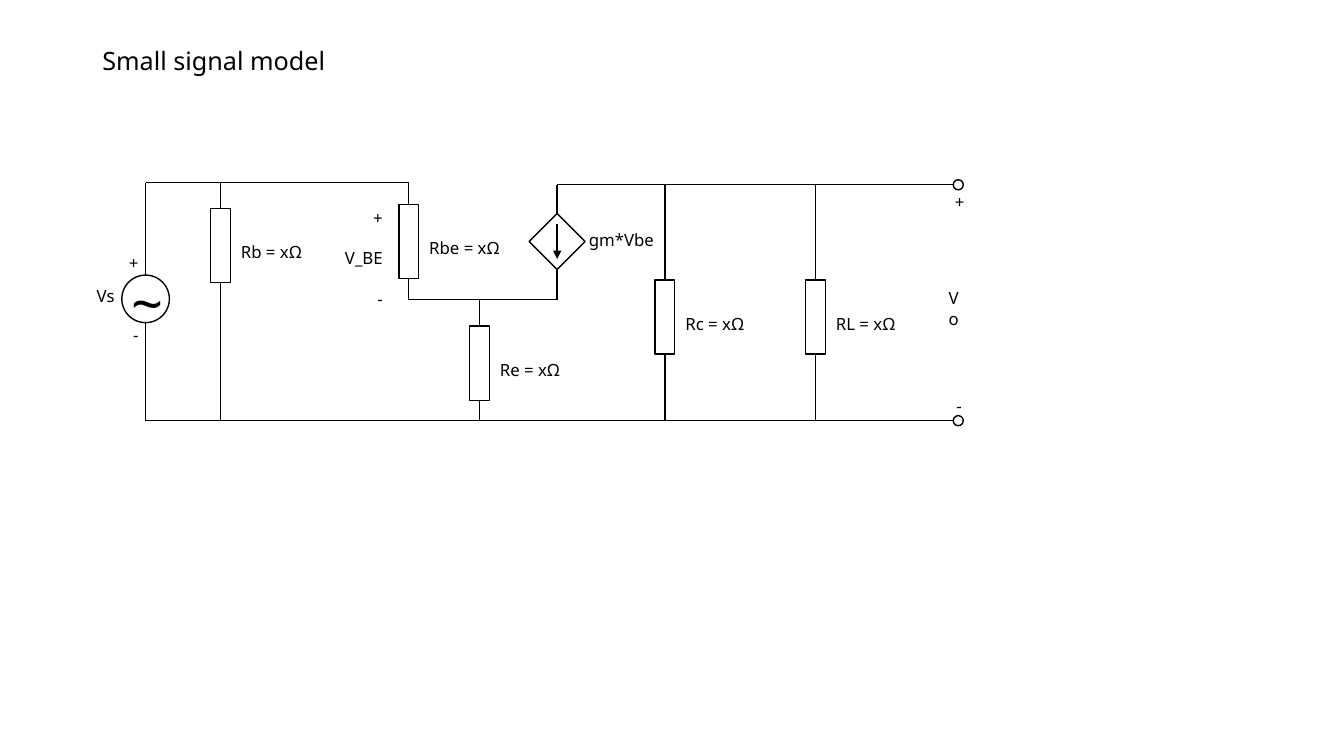
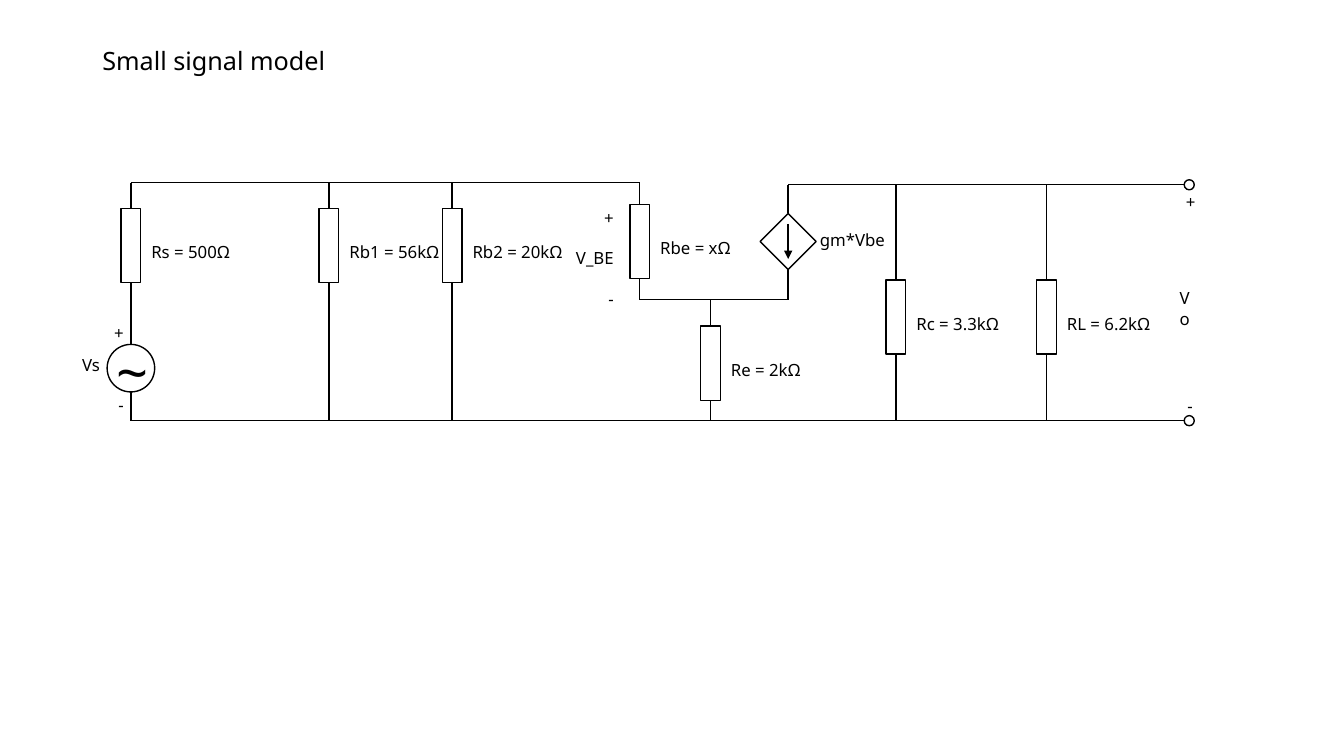
from dataclasses import dataclass

from pptx import Presentation
from pptx.dml.color import RGBColor
from pptx.enum.shapes import MSO_CONNECTOR, MSO_SHAPE
from pptx.enum.text import MSO_ANCHOR, PP_ALIGN
from pptx.oxml.ns import qn
from pptx.util import Pt
from lxml.etree import SubElement


@dataclass(frozen=True)
class Theme:
    """Colours, type sizes and line weight shared by the slides."""
    ink: RGBColor = RGBColor(0, 0, 0)
    font: str = "Noto Sans"
    title: float = 18
    label: float = 12
    tilde: float = 40
    stroke: float = 1


@dataclass(frozen=True)
class Levels:
    """Heights of the horizontal wires and resistor bodies."""
    input_rail: float = 130.5
    output_rail: float = 132
    emitter: float = 214
    ground: float = 300.5
    input_body: float = 149
    base_body: float = 146
    emitter_body: float = 233
    load_body: float = 200


T = Theme()
Y = Levels()
BODY_W, BODY_H = 14, 53
SOURCE_R = 17
DIAMOND_R = 20
TERMINAL_R = 3.6


def text(s, x, y, w, h, words, size=T.label, align=PP_ALIGN.LEFT,
         anchor=MSO_ANCHOR.TOP, spacing=None, gap=0):
    """Write one paragraph for each line of words."""
    tf = s.shapes.add_textbox(Pt(x), Pt(y), Pt(w), Pt(h)).text_frame
    tf.word_wrap = True
    tf.vertical_anchor = anchor
    tf.margin_top = Pt(3.6 + 0.06 * size)
    for i, line in enumerate(words.split("\n")):
        p = tf.add_paragraph() if i else tf.paragraphs[0]
        p.alignment = align
        p.line_spacing = spacing or Pt(1.2 * size)
        p.space_before = Pt(gap if i else 0)
        r = p.add_run()
        r.text = line
        r.font.name = T.font
        r.font.size = Pt(size)
        r.font.color.rgb = T.ink


def wire(s, x1, y1, x2, y2, arrow=False):
    """Draw a straight wire, with an arrowhead on request."""
    c = s.shapes.add_connector(MSO_CONNECTOR.STRAIGHT, Pt(x1), Pt(y1), Pt(x2), Pt(y2))
    c.line.color.rgb = T.ink
    c.line.width = Pt(T.stroke)
    if arrow:
        SubElement(c.line._get_or_add_ln(), qn("a:tailEnd"), type="triangle")
    SubElement(c._element.spPr, qn("a:effectLst"))


def outline(s, kind, cx, cy, w, h):
    """Draw an unfilled shape around a centre."""
    sp = s.shapes.add_shape(kind, Pt(cx - w / 2), Pt(cy - h / 2), Pt(w), Pt(h))
    sp.shadow.inherit = False
    sp.fill.background()
    sp.line.color.rgb = T.ink
    sp.line.width = Pt(T.stroke)


def resistor(s, x, top, body, bottom, words):
    """Draw a labelled vertical resistor between two heights."""
    wire(s, x, top, x, body)
    outline(s, MSO_SHAPE.RECTANGLE, x, body + BODY_H / 2, BODY_W, BODY_H)
    wire(s, x, body + BODY_H, x, bottom)
    text(s, x + 7.5, body + 19.5, 81, 22, words)


def voltage_source(s, x, y, top):
    """Draw the signal source with its wires up to top and down to ground."""
    wire(s, x, top, x, y - SOURCE_R)
    outline(s, MSO_SHAPE.FLOWCHART_CONNECTOR, x, y, 2 * SOURCE_R, 2 * SOURCE_R)
    wire(s, x, y + SOURCE_R, x, Y.ground)
    text(s, x - 42, y - 14, 35, 22, "Vs")
    text(s, x - 17.5, y - 28, 32, 55, "~", size=T.tilde)
    text(s, x - 19, y - 37, 20, 22, "+")
    text(s, x - 16, y + 14.5, 20, 22, "-")


def current_source(s, x):
    """Draw the controlled current source from output rail to emitter."""
    y = 172.5
    wire(s, x, Y.output_rail, x, y - DIAMOND_R)
    outline(s, MSO_SHAPE.DIAMOND, x, y, 2 * DIAMOND_R, 2 * DIAMOND_R)
    wire(s, x, y - 12.5, x, y + 12.5, arrow=True)
    wire(s, x, y + DIAMOND_R, x, Y.emitter)
    text(s, x + 15.5, 160, 63, 22, "gm*Vbe")


def output_port(s, x):
    """Draw the two output terminals and their marks."""
    for y in (Y.output_rail, Y.ground):
        outline(s, MSO_SHAPE.FLOWCHART_CONNECTOR, x, y, 2 * TERMINAL_R, 2 * TERMINAL_R)
    text(s, x - 9.5, 132.5, 20, 22, "+")
    text(s, x - 14, 201.5, 28, 36, "Vo")
    text(s, x - 8.5, 278.5, 20, 22, "-")


def amplifier(s, x, re, rc, rl):
    """Draw the transistor model and loads, starting at the base resistor."""
    collector, port = x + 106, x + 392.5
    text(s, x - 56.5, 144, 45, 80, "+\nV_BE\n-", align=PP_ALIGN.RIGHT, gap=14.4)
    resistor(s, x, Y.input_rail, Y.base_body, Y.emitter, "Rbe = xΩ")
    wire(s, x, Y.emitter, collector, Y.emitter)
    resistor(s, x + 50.5, Y.emitter, Y.emitter_body, Y.ground, re)
    current_source(s, collector)
    wire(s, collector, Y.output_rail, port - TERMINAL_R, Y.output_rail)
    for offset, words in ((183, rc), (290.5, rl)):
        resistor(s, x + offset, Y.output_rail, Y.load_body, Y.ground, words)
    output_port(s, port)


def circuit(prs, source, base, bias, loads, series=None):
    """Add a slide with a complete small signal circuit."""
    s = prs.slides.add_slide(prs.slide_layouts[6])
    text(s, 66, 29, 828, 29.5, "Small signal model", size=T.title,
         anchor=MSO_ANCHOR.MIDDLE, spacing=0.9)
    x, y = source
    top = Y.input_rail
    if series:
        top = Y.input_body + BODY_H + 15
        resistor(s, x, Y.input_rail, Y.input_body, top, series)
    voltage_source(s, x, y, top)
    wire(s, x, Y.input_rail, base, Y.input_rail)
    wire(s, x, Y.ground, base + 392.5 - TERMINAL_R, Y.ground)
    for bias_x, words in bias:
        resistor(s, bias_x, Y.input_rail, Y.input_body, Y.ground, words)
    amplifier(s, base, *loads)


def main():
    """Build and save the presentation."""
    prs = Presentation()
    prs.slide_width, prs.slide_height = Pt(960), Pt(540)
    circuit(prs, (104, 213.5), 292, [(157.5, "Rb = xΩ")],
            ("Re = xΩ", "Rc = xΩ", "RL = xΩ"))
    circuit(prs, (93.5, 263), 457,
            [(235, "Rb1 = 56kΩ"), (323, "Rb2 = 20kΩ")],
            ("Re = 2kΩ", "Rc = 3.3kΩ", "RL = 6.2kΩ"), series="Rs = 500Ω")
    prs.save("out.pptx")


if __name__ == "__main__":
    main()
